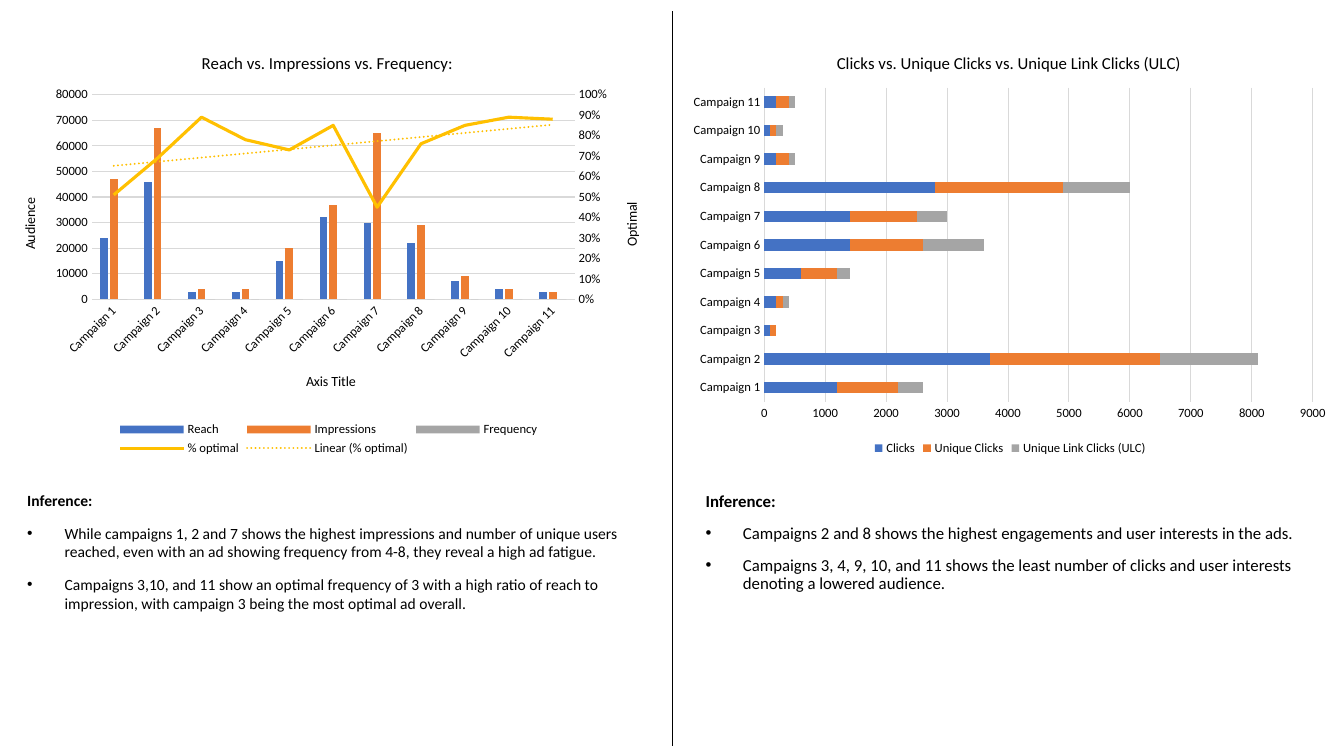
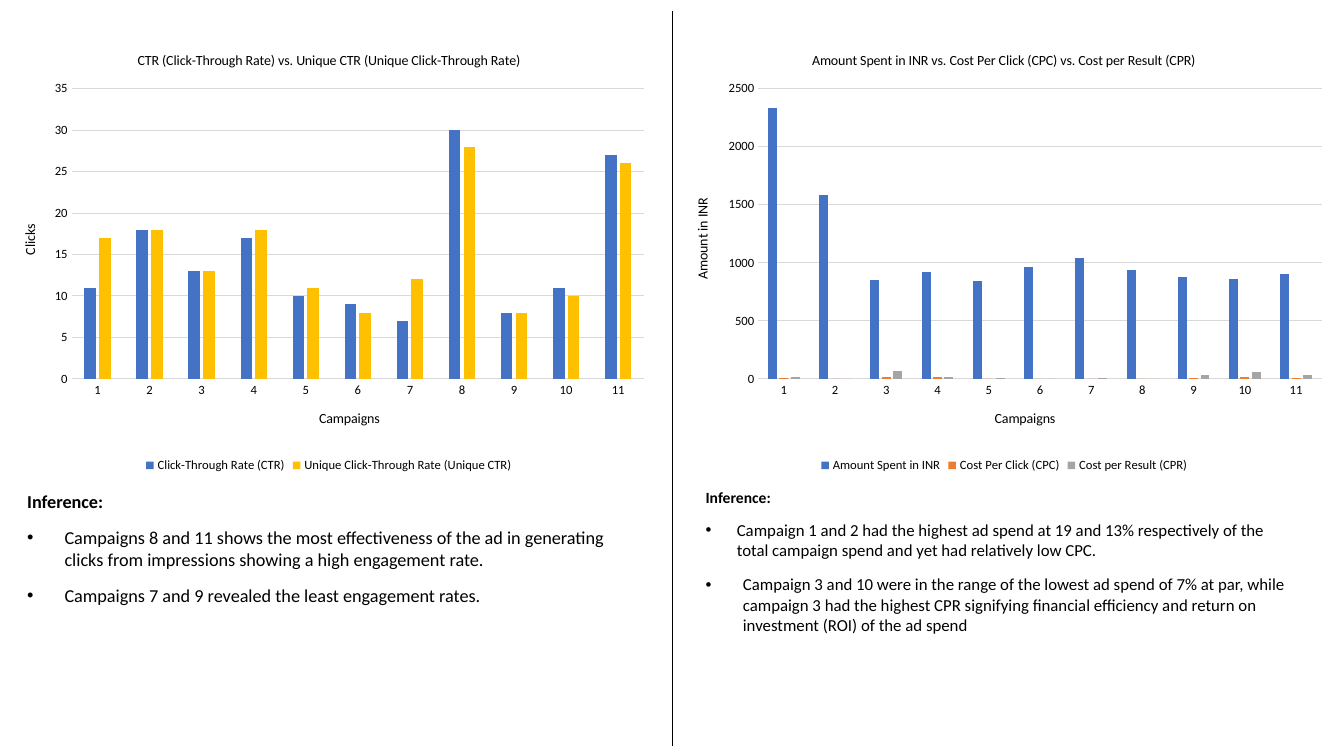
import copy
import dataclasses

import pptx
import pptx.chart.axis
import pptx.chart.data
import pptx.dml.color
import pptx.enum.chart
import pptx.enum.shapes
import pptx.enum.text
import pptx.oxml
import pptx.oxml.ns
import pptx.util

Inches = pptx.util.Inches
Pt = pptx.util.Pt
KINDS = pptx.enum.chart.XL_CHART_TYPE
NS = pptx.oxml.ns.nsdecls("c", "a")


@dataclasses.dataclass(frozen=True)
class Theme:
    font: str = "Calibri"
    ink: str = "000000"
    grid: str = "D9D9D9"
    blue: str = "4472C4"
    orange: str = "ED7D31"
    gray: str = "A5A5A5"
    gold: str = "FFC000"
    tick_size: float = 9
    axis_size: float = 10
    title_size: float = 12
    hairline: float = 0.75
    divider: float = 0.5
    trend: float = 1.5
    curve: float = 2.25
    paragraph_gap: float = 10


def rgb(color):
    return pptx.dml.color.RGBColor.from_string(color)


def apply(target, values):
    for name, value in values.items():
        setattr(target, name, value)


class Report:
    """Builds report slides of paired charts and inferences in one style."""

    def __init__(self, theme):
        self.theme = theme
        self.deck = pptx.Presentation()
        apply(self.deck, {"slide_width": Inches(13.33), "slide_height": Inches(7.5)})
        self.slide = None

    def start_slide(self):
        self.slide = self.deck.slides.add_slide(self.deck.slide_layouts[0])
        title = self.slide.shapes.title
        title.element.getparent().remove(title.element)
        divider = self.slide.shapes.add_connector(
            pptx.enum.shapes.MSO_CONNECTOR.STRAIGHT,
            Inches(6.67), Inches(0.11), Inches(6.67), Inches(7.4))
        self.stroke(divider.line, self.theme.ink, self.theme.divider)
        divider.element.spPr.append(pptx.oxml.parse_xml(f"<a:effectLst {NS}/>"))

    def stroke(self, line, color, width):
        line.color.rgb = rgb(color)
        line.width = Pt(width)

    def style_font(self, font, size, bold=False):
        apply(font, {"name": self.theme.font, "size": Pt(size), "bold": bold})
        font.color.rgb = rgb(self.theme.ink)

    def inference(self, box, height, points, size, heading_size=None,
                  heading_spacing=0.9, spacing=1.0, indents=(0.37, 0.37)):
        apply(box, {"left": Inches(0.17 if box.is_placeholder else 6.9),
                    "top": Inches(4.84), "width": Inches(6.06),
                    "height": Inches(height)})
        frame = box.text_frame
        apply(frame, {"word_wrap": True,
                      "auto_size": pptx.enum.text.MSO_AUTO_SIZE.NONE,
                      "vertical_anchor": pptx.enum.text.MSO_ANCHOR.TOP})
        for number, words in enumerate(["Inference:", *points]):
            paragraph = frame.add_paragraph() if number else frame.paragraphs[0]
            apply(paragraph, {"text": words,
                              "alignment": pptx.enum.text.PP_ALIGN.LEFT,
                              "line_spacing": spacing if number else heading_spacing,
                              "space_before": Pt(self.theme.paragraph_gap)})
            self.style_font(paragraph.runs[0].font,
                            size if number else heading_size or size, not number)
            if number:
                self.bullet(paragraph, Inches(indents[number - 1]))

    def left_inference(self, *args, **options):
        self.inference(self.slide.placeholders[1], *args, **options)

    def right_inference(self, *args, **options):
        self.inference(self.slide.shapes.add_textbox(0, 0, 0, 0), *args, **options)

    def bullet(self, paragraph, indent):
        properties = paragraph._p.get_or_add_pPr()
        properties.set("marL", str(indent))
        properties.set("indent", str(-indent))
        for mark in ('a:buFont {} typeface="Arial"', 'a:buChar {} char="•"'):
            properties.append(pptx.oxml.parse_xml(f"<{mark.format(NS)}/>"))

    def place(self, parent, index, area, spot):
        left, top, width, height = area
        sizes = [("x", (spot[0] - left) / width), ("y", (spot[1] - top) / height)]
        target = ""
        if len(spot) == 4:
            sizes += [("w", spot[2] / width), ("h", spot[3] / height)]
            target = '<c:layoutTarget val="inner"/>'
        for old in parent.findall(pptx.oxml.ns.qn("c:layout")):
            parent.remove(old)
        values = "".join(f'<c:{name} val="{value:.4f}"/>' for name, value in sizes)
        parent.insert(index, pptx.oxml.parse_xml(
            f'<c:layout {NS}><c:manualLayout>{target}<c:xMode val="edge"/>'
            f'<c:yMode val="edge"/>{values}</c:manualLayout></c:layout>'))

    def caption(self, title, words, size, area, spot, turned=False):
        title.text_frame.text = words
        self.style_font(title.text_frame.paragraphs[0].runs[0].font, size)
        self.place(title.element, 1, area, spot)
        if turned:
            body = title.element.xpath(".//a:bodyPr")[0]
            body.set("rot", "-5400000")
            body.set("vert", "horz")

    def axis(self, axis, area, title=None, turned=False):
        none = pptx.enum.chart.XL_TICK_MARK.NONE
        apply(axis, {"major_tick_mark": none, "minor_tick_mark": none})
        self.style_font(axis.tick_labels.font, self.theme.tick_size)
        if title:
            words, *spot = title
            self.caption(axis.axis_title, words, self.theme.axis_size, area, spot, turned)

    def scale(self, axis, top, step, number_format="General"):
        apply(axis, {"minimum_scale": 0, "maximum_scale": top, "major_unit": step})
        apply(axis.tick_labels, {"number_format": number_format,
                                 "number_format_is_linked": False})
        axis.format.line.fill.background()

    def chart(self, kind, area, plot_area, title, title_spot, categories, series,
              top, step, category_title=None, value_title=None, title_size=None,
              gap=219, overlap=-27):
        data = pptx.chart.data.CategoryChartData()
        data.categories = categories
        for name, _, values in series:
            data.add_series(name, values)
        chart = self.slide.shapes.add_chart(kind, *map(Inches, area), data).chart
        self.style_font(chart.font, self.theme.axis_size)
        chart.has_title = True
        self.caption(chart.chart_title, title, title_size or self.theme.title_size,
                     area, title_spot)
        self.place(chart.element.xpath("c:chart/c:plotArea")[0], 0, area, plot_area)
        chart.has_legend = True
        apply(chart.legend, {"position": pptx.enum.chart.XL_LEGEND_POSITION.BOTTOM,
                             "include_in_layout": False})
        self.style_font(chart.legend.font, self.theme.tick_size)
        self.axis(chart.category_axis, area, category_title)
        self.stroke(chart.category_axis.format.line, self.theme.grid, self.theme.hairline)
        self.axis(chart.value_axis, area, value_title, turned=True)
        self.scale(chart.value_axis, top, step)
        self.stroke(chart.value_axis.major_gridlines.format.line,
                    self.theme.grid, self.theme.hairline)
        apply(chart.plots[0], {"gap_width": gap, "overlap": overlap,
                               "vary_by_categories": False})
        for bars, (_, color, _) in zip(chart.plots[0].series, series):
            bars.format.fill.solid()
            bars.format.fill.fore_color.rgb = rgb(color)
        return chart

    def slant_categories(self, chart):
        body = chart.element.xpath("c:chart/c:plotArea/c:catAx[1]/c:txPr/a:bodyPr")[0]
        body.set("rot", "-2700000")
        body.set("vert", "horz")

    def last_series_as_line(self, chart, area, color, axis_title):
        plot = chart.element.xpath("c:chart/c:plotArea")[0]
        bars, categories, values = (
            plot.xpath(tag)[0] for tag in ("c:barChart", "c:catAx", "c:valAx"))
        ids = {"categories": "50010", "values": "50020"}
        line = pptx.oxml.parse_xml(
            f'<c:lineChart {NS}><c:grouping val="standard"/><c:varyColors val="0"/>'
            f'<c:marker val="1"/><c:axId val="{ids["categories"]}"/>'
            f'<c:axId val="{ids["values"]}"/></c:lineChart>')
        series = bars.xpath("c:ser")[-1]
        for tag in ("c:invertIfNegative", "c:spPr"):
            for old in series.xpath(tag):
                series.remove(old)
        line.insert(2, series)
        bars.addnext(line)

        right, hidden = copy.deepcopy(values), copy.deepcopy(categories)
        values.addnext(right)
        right.addnext(hidden)
        for element, own, other in ((right, "values", "categories"),
                                    (hidden, "categories", "values")):
            element.xpath("c:axId")[0].set("val", ids[own])
            element.xpath("c:crossAx")[0].set("val", ids[other])
            for title in element.xpath("c:title"):
                element.remove(title)
        right.xpath("c:axPos")[0].set("val", "r")
        right.xpath("c:crosses")[0].set("val", "max")
        pptx.chart.axis.CategoryAxis(hidden).visible = False
        right_axis = pptx.chart.axis.ValueAxis(right)
        right_axis.has_major_gridlines = False
        self.axis(right_axis, area, axis_title, turned=True)
        self.scale(right_axis, 1, 0.1, "0%")

        curve = chart.plots[1].series[0]
        curve.smooth = False
        curve.marker.style = pptx.enum.chart.XL_MARKER_STYLE.NONE
        self.stroke(curve.format.line, color, self.theme.curve)
        series.xpath("c:cat")[0].addprevious(pptx.oxml.parse_xml(
            f'<c:trendline {NS}><c:name>Linear ({curve.name})</c:name><c:spPr>'
            f'<a:ln w="{Pt(self.theme.trend)}" cap="rnd"><a:solidFill>'
            f'<a:srgbClr val="{color}"/></a:solidFill><a:prstDash val="sysDot"/></a:ln>'
            '</c:spPr><c:trendlineType val="linear"/><c:dispRSqr val="0"/>'
            '<c:dispEq val="0"/></c:trendline>'))


def reach_and_clicks(report):
    theme = report.theme
    campaigns = [f"Campaign {number}" for number in range(1, 12)]
    report.start_slide()
    report.left_inference(1.37, [
        "While campaigns 1, 2 and 7 shows the highest impressions and number of unique users reached, even with an ad showing frequency from 4-8, they reveal a high ad fatigue.",
        "Campaigns 3,10, and 11 show an optimal frequency of 3 with a high ratio of reach to impression, with campaign 3 being the most optimal ad overall.",
    ], 11.1)
    report.right_inference(1.37, [
        "Campaigns 2 and 8 shows the highest engagements and user interests in the ads.",
        "Campaigns 3, 4, 9, 10, and 11 shows the least number of clicks and user interests denoting a lowered audience.",
    ], 12, spacing=0.9)
    area = (0, 0.35, 6.52, 4.21)
    reach = report.chart(
        KINDS.COLUMN_CLUSTERED, area, (0.91, 0.94, 4.79, 2.03),
        "Reach vs. Impressions vs. Frequency:", (1.97, 0.48), campaigns, [
            ("Reach", theme.blue, [24000, 46000, 3000, 3000, 15000, 32000, 30000, 22000, 7000, 4000, 3000]),
            ("Impressions", theme.orange, [47000, 67000, 4000, 4000, 20000, 37000, 65000, 29000, 9000, 4000, 3000]),
            ("Frequency", theme.gray, [0] * 11),
            ("% optimal", theme.gold, [0.51, 0.69, 0.89, 0.78, 0.73, 0.85, 0.45, 0.76, 0.85, 0.89, 0.88]),
        ], 80000, 10000, ("Axis Title", 3.01, 3.67), ("Audience", 0.18, 1.94))
    report.slant_categories(reach)
    report.last_series_as_line(reach, area, theme.gold, ("Optimal", 6.15, 1.98))
    report.chart(
        KINDS.BAR_STACKED, (6.76, 0.35, 6.52, 4.21), (7.58, 0.87, 5.44, 3.12),
        "Clicks vs. Unique Clicks vs. Unique Link Clicks (ULC)", (8.27, 0.48), campaigns, [
            ("Clicks", theme.blue, [1200, 3700, 100, 200, 600, 1400, 1400, 2800, 200, 100, 200]),
            ("Unique Clicks", theme.orange, [1000, 2800, 100, 100, 600, 1200, 1100, 2100, 200, 100, 200]),
            ("Unique Link Clicks (ULC)", theme.gray, [400, 1600, 0, 100, 200, 1000, 500, 1100, 100, 100, 100]),
        ], 9000, 1000, gap=150, overlap=100)


def rates_and_costs(report):
    theme = report.theme
    campaigns = [str(number) for number in range(1, 12)]
    report.start_slide()
    report.left_inference(1.47, [
        "Campaigns 8 and 11 shows the most effectiveness of the ad in generating clicks from impressions showing a high engagement rate.",
        "Campaigns 7 and 9 revealed the least engagement rates.",
    ], 13)
    report.right_inference(1.54, [
        "Campaign 1 and 2 had the highest ad spend at 19 and 13% respectively of the total campaign spend and yet had relatively low CPC.",
        "Campaign 3 and 10 were in the range of the lowest ad spend of 7% at par, while campaign 3 had the highest CPR signifying financial efficiency and return on investment (ROI) of the ad spend",
    ], 12, heading_size=11.1, heading_spacing=0.7, indents=(0.31, 0.37))
    report.chart(
        KINDS.COLUMN_CLUSTERED, (0, 0.34, 6.52, 4.39), (0.71, 0.88, 5.68, 2.88),
        "CTR (Click-Through Rate) vs. Unique CTR (Unique Click-Through Rate)", (1.34, 0.48), campaigns, [
            ("Click-Through Rate (CTR)", theme.blue, [11, 18, 13, 17, 10, 9, 7, 30, 8, 11, 27]),
            ("Unique Click-Through Rate (Unique CTR)", theme.gold, [17, 18, 13, 18, 11, 8, 12, 28, 8, 10, 26]),
        ], 35, 5, ("Campaigns", 3.14, 4.03), ("Clicks", 0.18, 2.2), theme.axis_size)
    report.chart(
        KINDS.COLUMN_CLUSTERED, (6.67, 0.34, 6.58, 4.39), (7.52, 0.88, 5.59, 2.88),
        "Amount Spent in INR vs. Cost Per Click (CPC) vs. Cost per Result (CPR)", (8.03, 0.48), campaigns, [
            ("Amount Spent in INR", theme.blue, [2330, 1580, 850, 920, 840, 960, 1040, 940, 880, 860, 900]),
            ("Cost Per Click (CPC)", theme.orange, [10, 0, 20, 20, 0, 0, 0, 0, 10, 20, 10]),
            ("Cost per Result (CPR)", theme.gray, [20, 0, 70, 20, 10, 0, 10, 0, 30, 60, 30]),
        ], 2500, 500, ("Campaigns", 9.84, 4.03), ("Amount in INR", 6.85, 1.94), theme.axis_size)


def main():
    report = Report(Theme())
    reach_and_clicks(report)
    rates_and_costs(report)
    report.deck.save("out.pptx")


if __name__ == "__main__":
    main()
